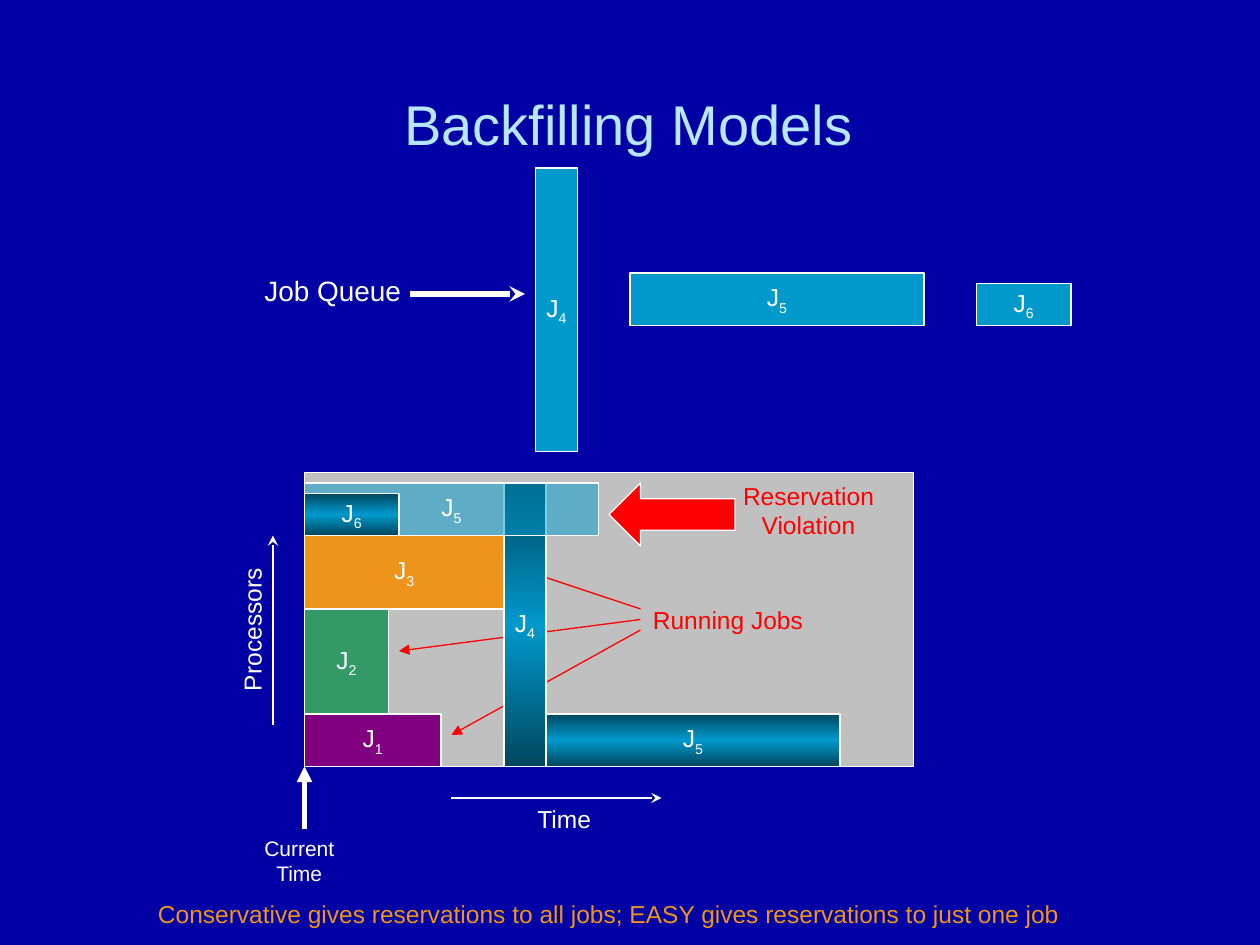
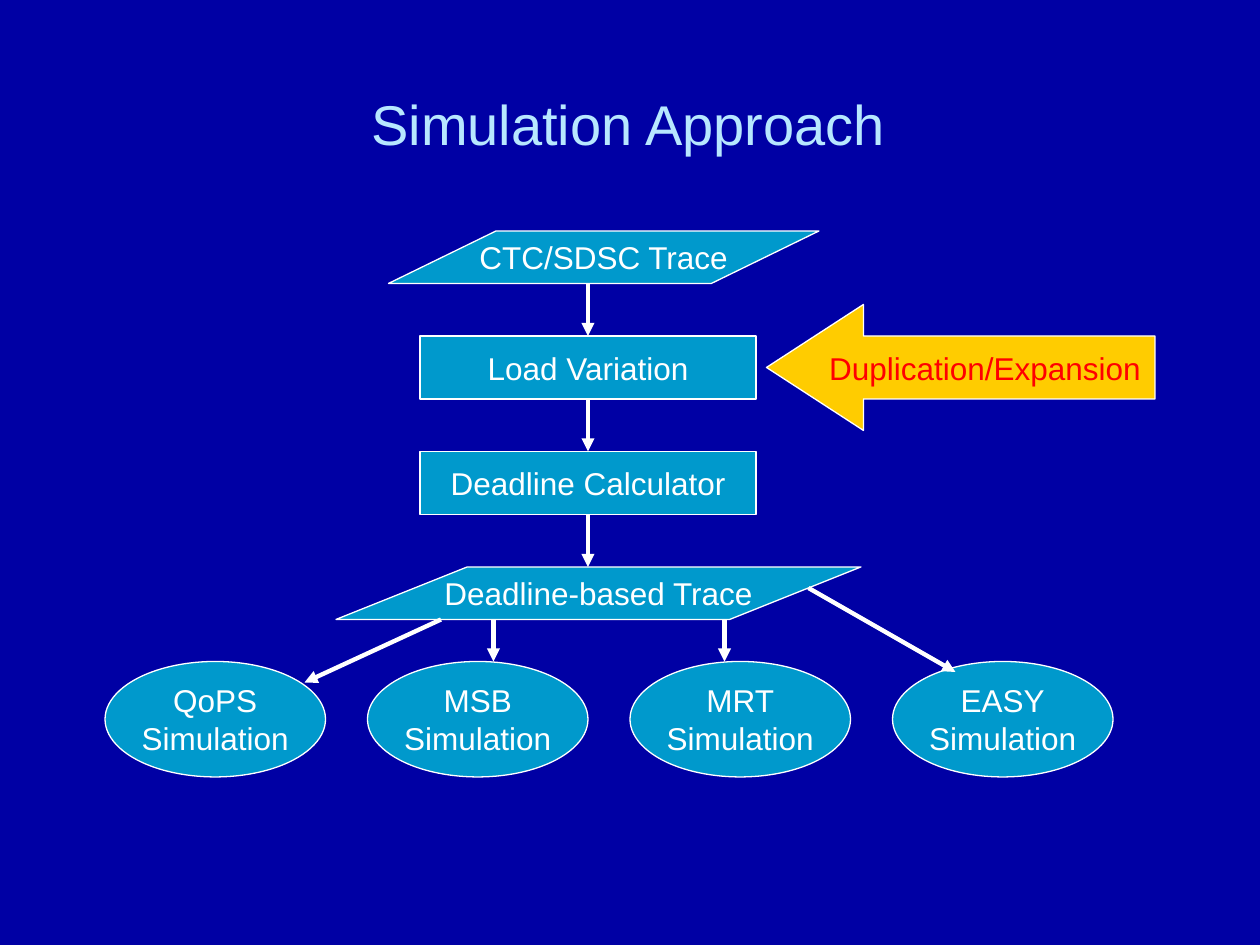
from copy import deepcopy

from pptx import Presentation
from pptx.dml.color import RGBColor
from pptx.enum.shapes import MSO_CONNECTOR, MSO_SHAPE
from pptx.enum.text import MSO_ANCHOR, PP_ALIGN
from pptx.oxml.ns import qn
from pptx.oxml.xmlchemy import OxmlElement
from pptx.util import Cm, Pt

NAVY = RGBColor(0x00, 0x00, 0xA4)
PALE_BLUE = RGBColor(0xB7, 0xE7, 0xFF)
WHITE = RGBColor(0xFF, 0xFF, 0xFF)
CYAN = RGBColor(0x00, 0x99, 0xCC)
DARK_CYAN = RGBColor(0x00, 0x47, 0x5E)
SILVER = RGBColor(0xC0, 0xC0, 0xC0)
PURPLE = RGBColor(0x80, 0x00, 0x80)
GREEN = RGBColor(0x33, 0x99, 0x66)
ORANGE = RGBColor(0xEE, 0x94, 0x1C)
YELLOW = RGBColor(0xFF, 0xCC, 0x00)
RED = RGBColor(0xFF, 0x00, 0x00)

RECTANGLE = MSO_SHAPE.RECTANGLE
ELLIPSE = MSO_SHAPE.OVAL
PARALLELOGRAM = MSO_SHAPE.PARALLELOGRAM
LEFT_ARROW = MSO_SHAPE.LEFT_ARROW
STRAIGHT = MSO_CONNECTOR.STRAIGHT
LEFT = PP_ALIGN.LEFT
CENTER = PP_ALIGN.CENTER
TOP = MSO_ANCHOR.TOP
MIDDLE = MSO_ANCHOR.MIDDLE

FONT = "Arial"
GRID_CM = 2.54 / 12
TOP_SIDE, BOTTOM_SIDE = 0, 2


def grid(*units):
    return [Cm(unit * GRID_CM) for unit in units]


def write_text(shape, text, size=14, color=WHITE, align=CENTER, anchor=MIDDLE,
               wrap=False, subscript=None):
    frame = shape.text_frame
    frame.word_wrap = wrap
    frame.vertical_anchor = anchor
    frame.text = text
    if subscript:
        run = frame.paragraphs[0].add_run()
        run.text = subscript
        run.font._element.set("baseline", "-25000")
    for paragraph in frame.paragraphs:
        paragraph.alignment = align
        for run in paragraph.runs:
            run.font.name = FONT
            run.font.size = Pt(size)
            run.font.color.rgb = color


def add_label(slide, box, text, rotation=0, anchor=TOP, **text_format):
    label = slide.shapes.add_textbox(*grid(*box))
    label.rotation = rotation
    write_text(label, text, anchor=anchor, wrap=True, **text_format)
    return label


def add_block(slide, box, fill=CYAN, kind=RECTANGLE, adjustments=(), text="",
              **text_format):
    block = slide.shapes.add_shape(kind, *grid(*box))
    block.shadow.inherit = False
    block.fill.solid()
    block.fill.fore_color.rgb = fill
    block.line.color.rgb = WHITE
    block.line.width = Pt(0.75)
    for index, value in enumerate(adjustments):
        block.adjustments[index] = value
    if text:
        write_text(block, text, **text_format)
    return block


def add_job(slide, number, box, fill=CYAN):
    return add_block(slide, box, fill, text="J", subscript=str(number))


def shade_ends(block):
    block.fill.gradient()
    block.fill.gradient_angle = 90
    stop_list = block._element.spPr.find(".//" + qn("a:gsLst"))
    stop_list.insert(1, deepcopy(stop_list[0]))
    for stop, position, color in zip(block.fill.gradient_stops, (0, 0.5, 1),
                                     (DARK_CYAN, CYAN, DARK_CYAN)):
        stop.position = position
        stop.color.rgb = color


def make_translucent(block, percent):
    alpha = OxmlElement("a:alpha")
    alpha.set("val", str(percent * 1000))
    block._element.spPr.find(qn("a:solidFill"))[0].append(alpha)


def add_arrow(slide, start, end, color=WHITE, width=0.75, tip="triangle",
              source=None, target=None):
    arrow = slide.shapes.add_connector(STRAIGHT, *grid(*start, *end))
    if source:
        arrow.begin_connect(source, BOTTOM_SIDE)
    if target:
        arrow.end_connect(target, TOP_SIDE)
    arrow.line.color.rgb = color
    arrow.line.width = Pt(width)
    properties = arrow._element.spPr
    tail = OxmlElement("a:tailEnd")
    tail.set("type", tip)
    properties.find(qn("a:ln")).append(tail)
    properties.append(OxmlElement("a:effectLst"))


def add_titled_slide(presentation, title):
    slide = presentation.slides.add_slide(presentation.slide_layouts[6])
    slide.background.fill.solid()
    slide.background.fill.fore_color.rgb = NAVY
    add_label(slide, (4, 3, 111.7, 17.4), title, size=32, color=PALE_BLUE,
              anchor=MIDDLE)
    return slide


def build_backfilling(presentation):
    slide = add_titled_slide(presentation, "Backfilling Models")
    add_block(slide, (29, 45, 58, 28), SILVER)
    add_job(slide, 1, (29, 68, 13, 5), PURPLE)
    add_job(slide, 2, (29, 58, 8, 10), GREEN)
    add_job(slide, 3, (29, 51, 19, 7), ORANGE)

    add_arrow(slide, (43, 76), (63, 76), tip="stealth")
    add_label(slide, (50, 76, 9, 4), "Time", align=LEFT)
    add_arrow(slide, (26, 69), (26, 51), tip="stealth")
    add_label(slide, (16.5, 57.5, 15, 4), "Processors", rotation=270, align=LEFT)
    add_arrow(slide, (29, 79), (29, 73), width=3)
    add_label(slide, (22, 79, 13, 6), "Current Time", size=12)

    add_job(slide, 5, (60, 26, 28, 5))
    add_job(slide, 6, (93, 27, 9, 4))
    add_job(slide, 4, (51, 16, 4, 27))
    add_label(slide, (24, 25.5, 16, 4.5), "Job Queue", size=16, align=LEFT)
    add_arrow(slide, (39, 28), (50, 28), width=3, tip="stealth")

    for start, end in (((61, 58), (49, 54)), ((61, 59), (38, 62)),
                       ((61, 60), (43, 70))):
        add_arrow(slide, start, end, color=RED)
    add_label(slide, (61, 57, 18, 4), "Running Jobs", color=RED, align=LEFT)

    shade_ends(add_job(slide, 4, (48, 46, 4, 27)))
    make_translucent(add_job(slide, 5, (29, 46, 28, 5)), 50)
    add_block(slide, (58, 46, 12, 6), RED, LEFT_ARROW, (0.5, 0.5))
    add_label(slide, (69, 45.2, 16, 6.8), "Reservation Violation", color=RED)
    shade_ends(add_job(slide, 5, (52, 68, 28, 5)))
    shade_ends(add_job(slide, 6, (29, 47, 9, 4)))
    add_label(slide, (8, 85, 100, 4),
              "Conservative gives reservations to all jobs; "
              "EASY gives reservations to just one job", color=ORANGE)


def build_simulation(presentation):
    slide = add_titled_slide(presentation, "Simulation Approach")
    add_block(slide, (37, 22, 41, 5), kind=PARALLELOGRAM, adjustments=(2.05,),
              text="CTC/SDSC Trace", size=18)
    load = add_block(slide, (40, 32, 32, 6), text="Load Variation", size=18)
    deadline = add_block(slide, (40, 43, 32, 6), text="Deadline Calculator",
                         size=18)
    add_block(slide, (32, 54, 50, 5), kind=PARALLELOGRAM, adjustments=(2.5,),
              text="Deadline-based Trace", size=18)
    for index, name in enumerate(("QoPS", "MSB", "MRT", "EASY")):
        add_block(slide, (10 + 25 * index, 63, 21, 11), kind=ELLIPSE,
                  text=f"{name}\nSimulation", size=18)

    for start, end, source, target in (
            ((56, 27), (56, 32), None, load),
            ((56, 38), (56, 43), load, deadline),
            ((56, 49), (56, 54), deadline, None),
            ((42, 59), (29, 65), None, None),
            ((47, 59), (47, 63), None, None),
            ((69, 59), (69, 63), None, None),
            ((77, 56), (91, 64), None, None)):
        add_arrow(slide, start, end, width=2.5, source=source, target=target)
    add_block(slide, (73, 29, 37, 12), YELLOW, LEFT_ARROW, (0.5, 0.77),
              text="Duplication/Expansion", size=18, color=RED)


def main():
    presentation = Presentation()
    presentation.slide_width, presentation.slide_height = grid(120, 90)
    build_backfilling(presentation)
    build_simulation(presentation)
    presentation.save("out.pptx")


if __name__ == "__main__":
    main()
